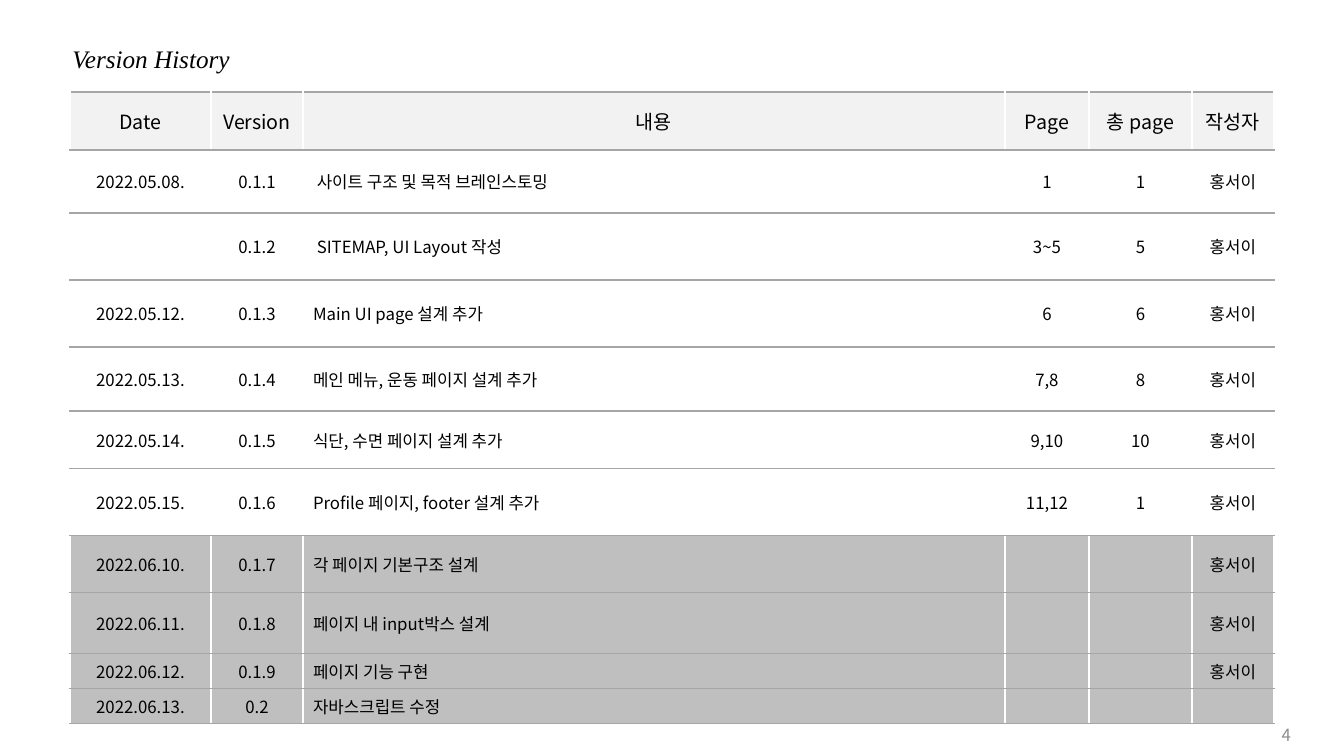
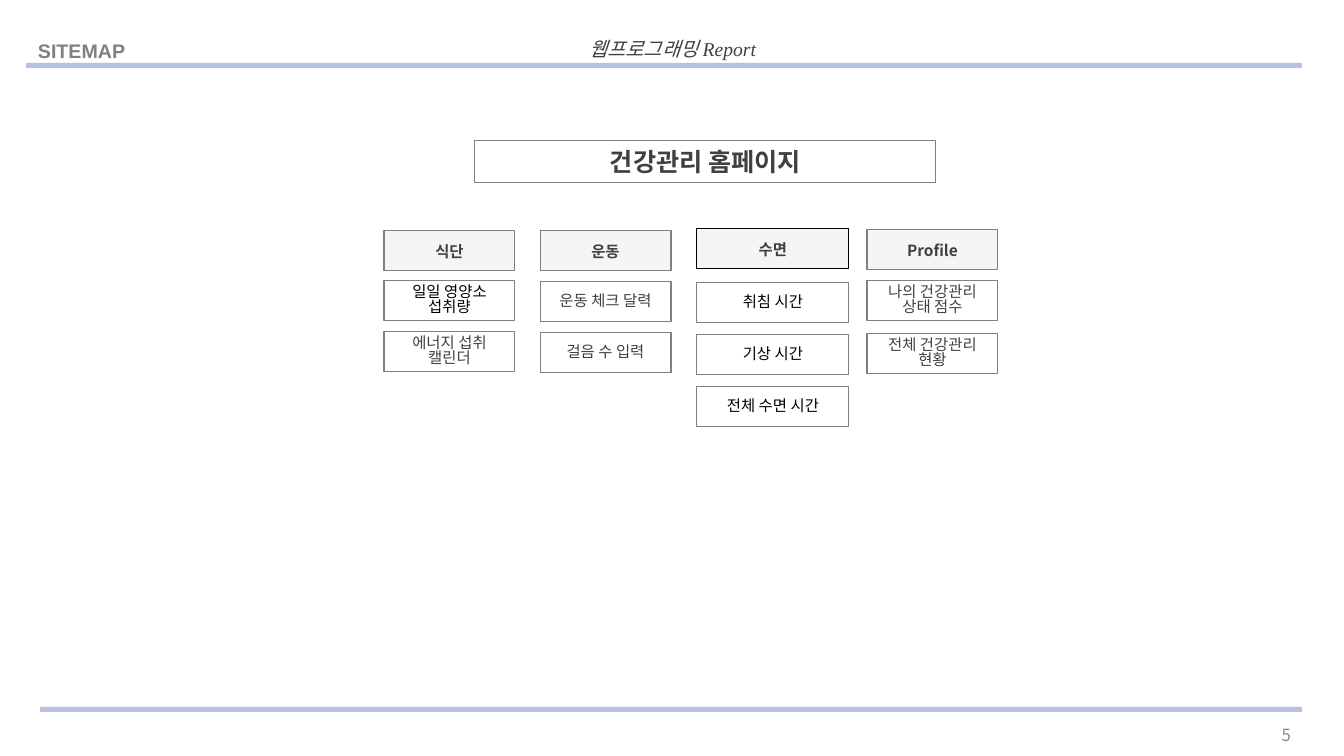
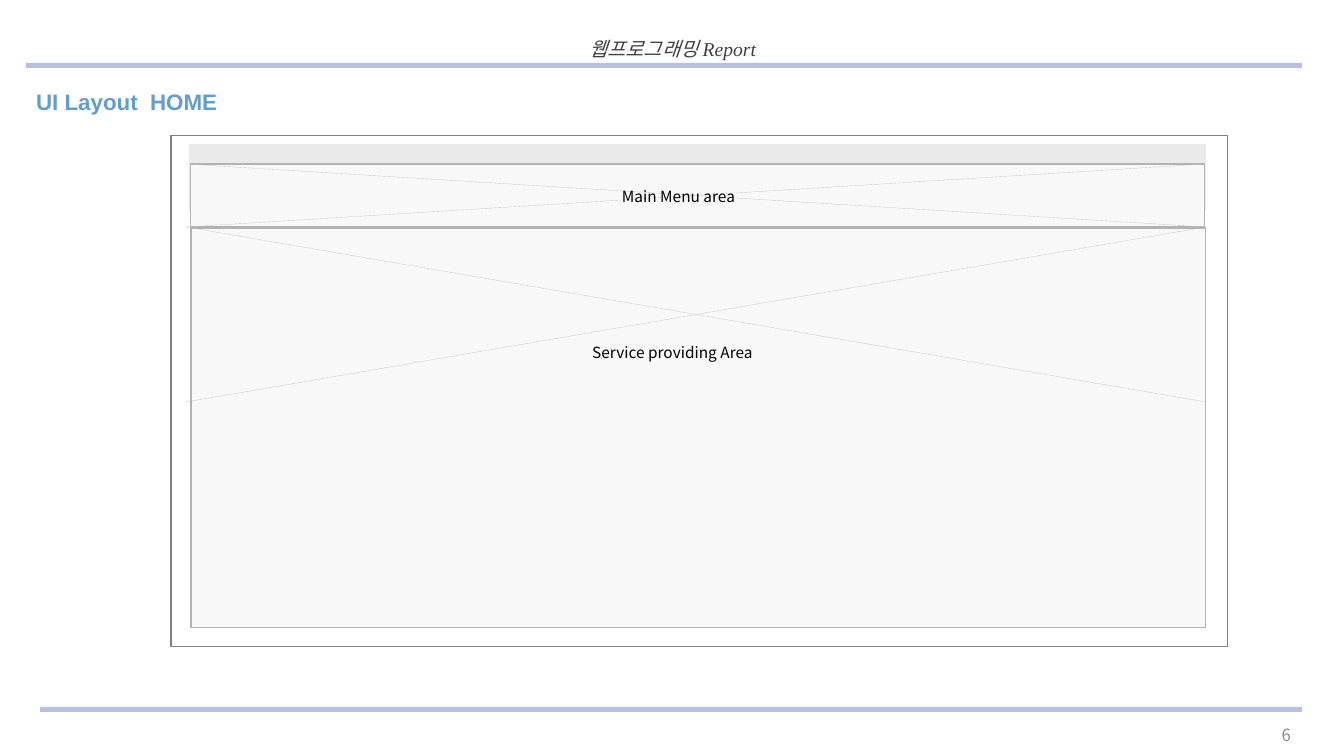
from lxml import etree
from pptx import Presentation
from pptx.dml.color import RGBColor
from pptx.enum.dml import MSO_LINE
from pptx.enum.shapes import MSO_CONNECTOR, MSO_SHAPE
from pptx.enum.text import MSO_ANCHOR, MSO_AUTO_SIZE, PP_ALIGN
from pptx.oxml import parse_xml
from pptx.oxml.ns import nsdecls, qn
from pptx.util import Pt

PX = 9071  # EMU in one px
LEFT, CENTER, RIGHT = PP_ALIGN.LEFT, PP_ALIGN.CENTER, PP_ALIGN.RIGHT
TOP, MIDDLE = MSO_ANCHOR.TOP, MSO_ANCHOR.MIDDLE
RECTANGLE = MSO_SHAPE.RECTANGLE
STRAIGHT = MSO_CONNECTOR.STRAIGHT
DOTTED = MSO_LINE.ROUND_DOT
NO_AUTOFIT = MSO_AUTO_SIZE.NONE

SANS, SERIF, HEADING = "Noto Sans CJK KR", "Times New Roman", "Arial"
COLORS = {
    "black": "000000", "text": "404040", "outline": "808080", "number": "8C8C8C",
    "band": "B5C1DF", "title": "629DD1", "rule": "A6A6A6", "white": "FFFFFF",
    "table header": "F2F2F2", "table done": "BFBFBF", "menu": "F5F5F5",
    "area": "F8F8F8", "area line": "B2B2B2", "cross": "C0C0C0", "top bar": "EAEAEA",
}


def write_text(frame, text, size, color="black", name=SANS, align=CENTER,
               anchor=MIDDLE, spacing=1.0, inset=None, **styles):
    """Fill a text frame with one formatted paragraph."""
    settings = {"word_wrap": True, "auto_size": NO_AUTOFIT, "vertical_anchor": anchor}
    if inset is not None:
        for side in ("left", "top", "right", "bottom"):
            settings[f"margin_{side}"] = inset
    for key, value in settings.items():
        setattr(frame, key, value)
    paragraph = frame.paragraphs[0]
    paragraph.alignment = align
    paragraph.line_spacing = spacing
    run = paragraph.add_run()
    run.text = text
    font_format = {"size": Pt(size), "name": name, "bold": False, "italic": False, **styles}
    for key, value in font_format.items():
        setattr(run.font, key, value)
    run.font.color.rgb = RGBColor.from_string(COLORS[color])
    east_asian = etree.SubElement(run.font._element, qn("a:ea"))
    east_asian.set("typeface", SANS)


def add_box(slide, place, fill=None, line=None):
    """Add a flat rectangle at (left, top, width, height) px."""
    shape = slide.shapes.add_shape(RECTANGLE, *[value * PX for value in place])
    shape.shadow.inherit = False
    if fill:
        shape.fill.solid()
        shape.fill.fore_color.rgb = RGBColor.from_string(COLORS[fill])
    else:
        shape.fill.background()
    if line:
        shape.line.color.rgb = RGBColor.from_string(COLORS[line])
        shape.line.width = Pt(0.75)
    else:
        shape.line.fill.background()
    return shape


presentation = Presentation()
presentation.slide_width = 1344 * PX
presentation.slide_height = 756 * PX
plain_layout = presentation.slide_layouts[1]
report_layout = presentation.slide_layouts[5]

# Slides with their titles and page numbers
pages = [
    (plain_layout, "Version History", (28, 45, 246, 27),
     {"size": 18, "name": SERIF, "italic": True}),
    (report_layout, "SITEMAP", (38, 39, 842, 24),
     {"size": 14, "name": HEADING, "color": "outline", "bold": True,
      "align": LEFT, "inset": 0}),
    (report_layout, "UI Layout  HOME", (26, 83, 704, 37),
     {"size": 16, "name": HEADING, "color": "title", "bold": True,
      "align": LEFT, "anchor": TOP}),
]
slides = []
for number, (layout, title_text, place, text_format) in enumerate(pages, start=4):
    slide = presentation.slides.add_slide(layout)
    title = slide.shapes.title
    title.left, title.top, title.width, title.height = [value * PX for value in place]
    write_text(title.text_frame, title_text, **text_format)
    for placeholder in list(slide.placeholders):
        if placeholder.placeholder_format.idx != 0:
            placeholder.element.getparent().remove(placeholder.element)
    page_number = slide.shapes.add_textbox(999 * PX, 715 * PX, 302 * PX, 40 * PX)
    write_text(page_number.text_frame, str(number), 12, "number", align=RIGHT)
    slides.append(slide)
history, sitemap, home = slides

# Report header and bands, moved into the shared layout
header = sitemap.shapes.add_textbox(550 * PX, 35 * PX, 246 * PX, 27 * PX)
write_text(header.text_frame, "웹프로그래밍 Report", 14, "text", SERIF, italic=True)
top_band = add_box(sitemap, (26, 63, 1276, 5), "band")
bottom_band = add_box(sitemap, (40, 707, 1262, 5), "band")
for shape in (top_band, header, bottom_band):
    report_layout.shapes.element.append(shape.element)

# Version History: table
author = "홍서이"
rows = [
    (58, "Date", "Version", "내용", "Page", "총 page", "작성자"),
    (63, "2022.05.08.", "0.1.1", " 사이트 구조 및 목적 브레인스토밍", "1", "1", author),
    (67, "", "0.1.2", " SITEMAP, UI Layout 작성", "3~5", "5", author),
    (67, "2022.05.12.", "0.1.3", "Main UI page 설계 추가", "6", "6", author),
    (64, "2022.05.13.", "0.1.4", "메인 메뉴, 운동 페이지 설계 추가", "7,8", "8", author),
    (58, "2022.05.14.", "0.1.5", "식단, 수면 페이지 설계 추가", "9,10", "10", author),
    (67, "2022.05.15.", "0.1.6", "Profile 페이지, footer 설계 추가", "11,12", "1", author),
    (57, "2022.06.10.", "0.1.7", "각 페이지 기본구조 설계", "", "", author),
    (61, "2022.06.11.", "0.1.8", "페이지 내 input박스 설계", "", "", author),
    (35, "2022.06.12.", "0.1.9", "페이지 기능 구현", "", "", author),
    (34, "2022.06.13.", "0.2", "자바스크립트 수정", "", "", ""),
]
column_widths = [141, 92, 702, 84, 103, 82]
first_done_row = 7
borders = {"lnL": "white", "lnR": "white", "lnT": "rule", "lnB": "rule"}
table = history.shapes.add_table(
    len(rows), len(column_widths), 70 * PX, 92 * PX,
    sum(column_widths) * PX, sum(row[0] for row in rows) * PX).table
table.first_row = table.horz_banding = False
for column, width in zip(table.columns, column_widths):
    column.width = width * PX
for row_index, (height, *texts) in enumerate(rows):
    table.rows[row_index].height = height * PX
    for column_index, text in enumerate(texts):
        cell = table.cell(row_index, column_index)
        cell.vertical_anchor = MIDDLE
        if row_index == 0 or row_index >= first_done_row:
            cell.fill.solid()
            fill = "table done" if row_index else "table header"
            cell.fill.fore_color.rgb = RGBColor.from_string(COLORS[fill])
        else:
            cell.fill.background()
        if text:
            align = LEFT if row_index and column_index == 2 else CENTER
            write_text(cell.text_frame, text, 12 if row_index else 14, align=align)
        else:
            end = etree.SubElement(cell.text_frame.paragraphs[0]._p, qn("a:endParaRPr"))
            end.set("sz", "1200")
        properties = cell._tc.get_or_add_tcPr()
        for position, (side, color) in enumerate(borders.items()):
            properties.insert(position, parse_xml(
                f'<a:{side} {nsdecls("a")} w="12700"><a:solidFill>'
                f'<a:srgbClr val="{COLORS[color]}"/></a:solidFill></a:{side}>'))

# SITEMAP: root box and menu columns
root = add_box(sitemap, (475, 140, 461, 43), line="outline")
write_text(root.text_frame, "건강관리 홈페이지", 18, "text", bold=True)
# heading, left, width, heading top, heading line, first item top, step, items
menus = [
    ("식단", 384, 131, 231, "outline", 281, 51,
     [("일일 영양소 섭취량", "black"), ("에너지 섭취 캘린더", "text")]),
    ("운동", 540, 131, 231, "outline", 282, 51,
     [("운동 체크 달력", "text"), ("걸음 수 입력", "text")]),
    ("수면", 697, 152, 229, "black", 283, 52,
     [("취침 시간", "black"), ("기상 시간", "black"), ("전체 수면 시간", "black")]),
    ("Profile", 867, 131, 230, "outline", 281, 53,
     [("나의 건강관리 상태 점수", "text"), ("전체 건강관리 현황", "text")]),
]
for heading, left, width, top, line, first_top, step, items in menus:
    menu = add_box(sitemap, (left, top, width, 40), "menu", line)
    write_text(menu.text_frame, heading, 11, "text", bold=True)
    for index, (text, color) in enumerate(items):
        item = add_box(sitemap, (left, first_top + index * step, width, 40), line="outline")
        write_text(item.text_frame, text, 11, color, spacing=0.8)

# UI Layout: page frame, top bar and crossed areas
add_box(home, (171, 136, 1057, 511), line="outline")
add_box(home, (189, 144, 1017, 67), "top bar")
# area box, then left, top, right and bottom of its cross
areas = [
    ((191, 228, 1015, 400), (186, 227, 1206, 402)),
    ((191, 164, 1014, 63), (186, 164, 1205, 227)),
]
for place, (left, top, right, bottom) in areas:
    add_box(home, place, "area", "area line")
    for start, end in ((right, left), (left, right)):
        diagonal = home.shapes.add_connector(
            STRAIGHT, start * PX, top * PX, end * PX, bottom * PX)
        diagonal.line.color.rgb = RGBColor.from_string(COLORS["cross"])
        diagonal.line.width = Pt(0.25)
        diagonal.line.dash_style = DOTTED
        etree.SubElement(diagonal.element.spPr, qn("a:effectLst"))

# UI Layout: area labels
labels = [
    ("Main Menu area", (612, 182, 199, 29), LEFT),
    ("Service providing Area", (469, 338, 407, 29), CENTER),
]
for text, place, align in labels:
    label = home.shapes.add_textbox(*[value * PX for value in place])
    write_text(label.text_frame, text, 11, align=align, anchor=TOP)

presentation.save("out.pptx")
